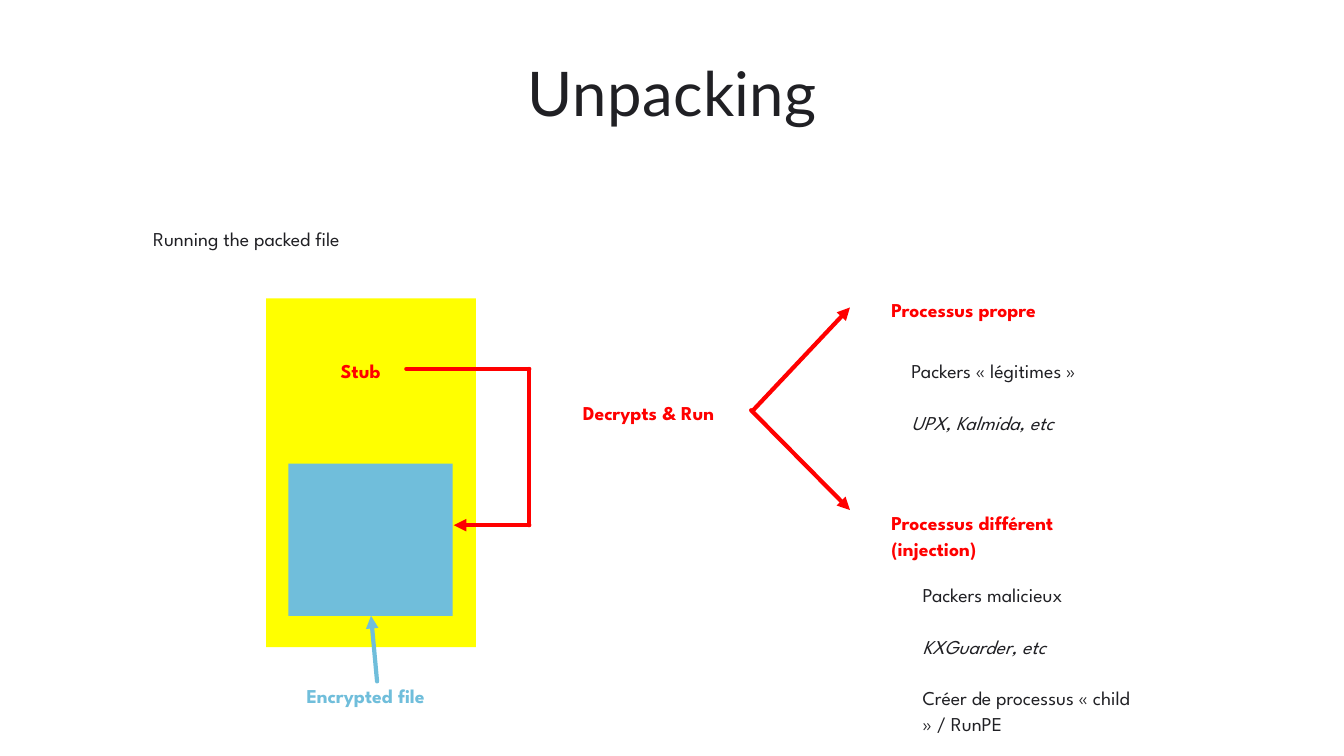
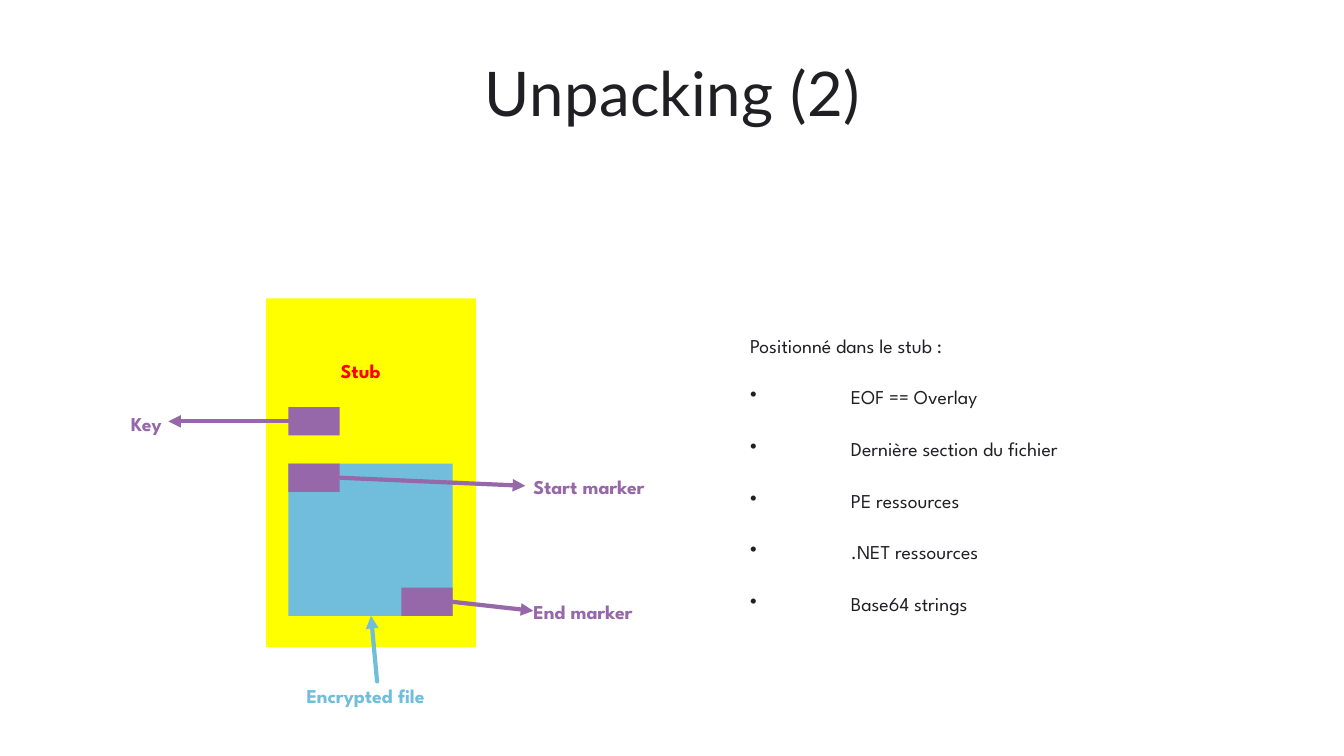
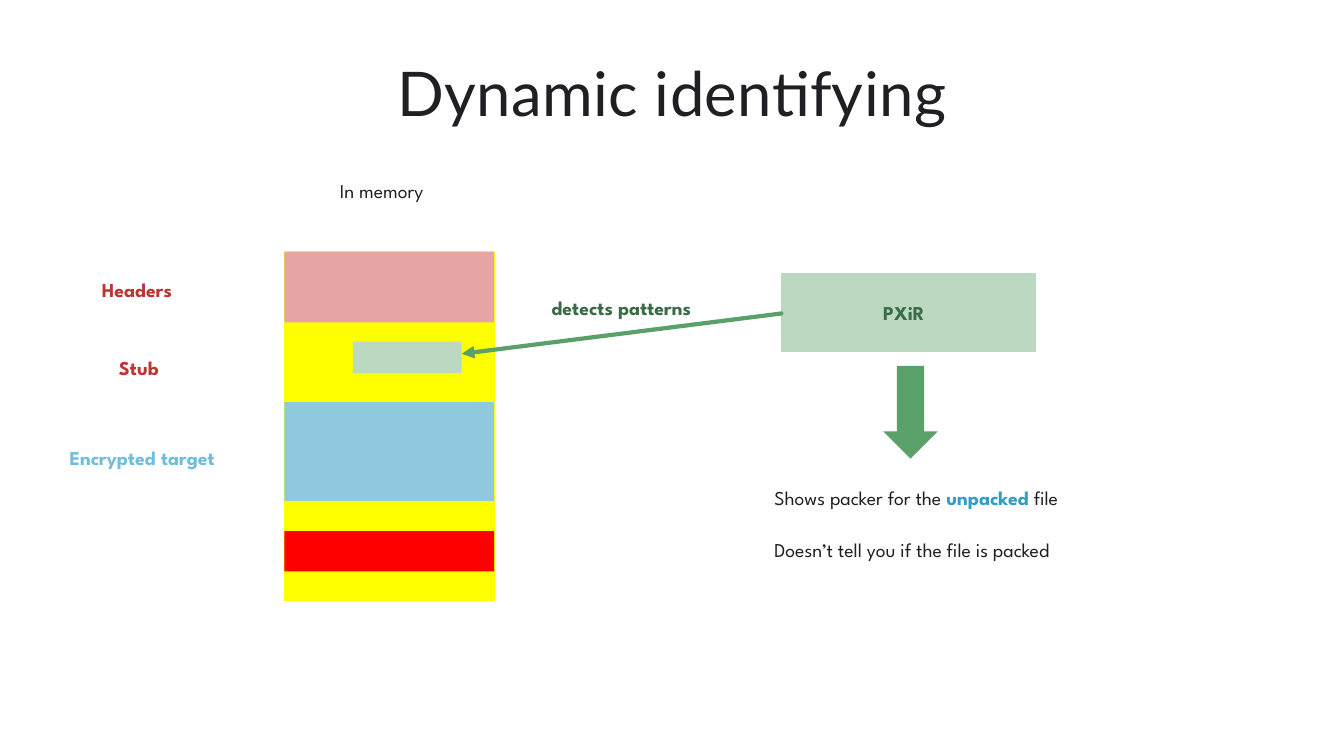
"""Build three slides on unpacking and identifying packed files."""
import lxml.etree
import pptx
import pptx.dml.color
import pptx.enum.shapes
import pptx.enum.text
import pptx.oxml.ns
import pptx.util

Inches = pptx.util.Inches
Shapes = pptx.enum.shapes.MSO_SHAPE
Align = pptx.enum.text.PP_ALIGN

INK, RED, YELLOW, SKY = "202024", "FF0000", "FFFF00", "70BEDB"
PURPLE, BRICK, PINK, PALE_BLUE, BLUE = "9667A9", "BB3533", "E6A5A4", "90C8DE", "329EC6"
GREEN, DARK_GREEN, PALE_GREEN = "59A168", "3B6B46", "BBD9C1"

TITLE_PLACE = (0.79, 0.6, 11.76, 0.7)
LABEL_HEIGHT = 0.24
PARA_GAP = 18.43
BULLET_INDENT = 1

PACKED_FILE = (2.64, 2.96, 2.08, 3.46)
ENCRYPTED = (2.86, 4.6, 1.63, 1.51)
MARKER_WIDTH, MARKER_HEIGHT = 0.51, 0.28
START_MARKER = (ENCRYPTED[0], ENCRYPTED[1])
END_MARKER = (ENCRYPTED[0] + ENCRYPTED[2] - MARKER_WIDTH, ENCRYPTED[1] + ENCRYPTED[3] - MARKER_HEIGHT)
KEY_MARKER = (ENCRYPTED[0], 4.04)
MEMORY_LEFT, MEMORY_WIDTH = 2.82, 2.08

FILE_DIAGRAM = {
    "shapes": [(PACKED_FILE, YELLOW), (ENCRYPTED, SKY)],
    "labels": [
        ("Stub", 3.38, 3.54, 0.47, RED),
        ("Encrypted file", 3.04, 6.76, 1.39, SKY),
    ],
    "lines": [((3.74, 6.76), (3.68, 6.11), SKY, True)],
}

PAGES = [
    {
        "title": "Unpacking",
        "parts": [
            FILE_DIAGRAM,
            {
                "labels": [
                    ("Decrypts & Run", 5.78, 3.95, 1.52, RED),
                    ("Processus propre", 8.84, 2.93, 2.18, RED),
                    ("Processus différent (injection)", 8.84, 5.05, 2.18, RED),
                ],
                "texts": [
                    (["Running the packed file"], (1.52, 2.23, 2.16, 0.24), {}),
                    (
                        ["Packers « légitimes »", [("UPX, Kalmida, etc", {"italic": True})]],
                        (9.04, 3.54, 1.9, 0.76),
                        {},
                    ),
                    (
                        [
                            "Packers malicieux",
                            [("KXGuarder, etc", {"italic": True})],
                            "Créer de processus « child » / RunPE",
                        ],
                        (9.15, 5.76, 2.18, 1.54),
                        {},
                    ),
                ],
                "lines": [
                    ((4.03, 3.66), (5.25, 3.66), RED, False),
                    ((5.25, 3.66), (5.25, 5.21), RED, False),
                    ((5.25, 5.21), (4.5, 5.21), RED, True),
                    ((7.47, 4.07), (8.43, 3.05), RED, True),
                    ((7.45, 4.07), (8.43, 5.06), RED, True),
                ],
            },
        ],
    },
    {
        "title": "Unpacking (2)",
        "parts": [
            FILE_DIAGRAM,
            {
                "shapes": [
                    ((left, top, MARKER_WIDTH, MARKER_HEIGHT), PURPLE)
                    for left, top in (START_MARKER, END_MARKER, KEY_MARKER)
                ],
                "labels": [
                    ("Key", 1.3, 4.06, 0.36, PURPLE),
                    ("Start marker", 5.29, 4.69, 1.27, PURPLE),
                    ("End marker", 5.29, 5.93, 1.13, PURPLE),
                ],
                "texts": [
                    (["Positionné dans le stub :"], (7.44, 3.29, 4.06, 0.24), {}),
                    (
                        [
                            "EOF == Overlay",
                            "Dernière section du fichier",
                            "PE ressources",
                            ".NET ressources",
                            "Base64 strings",
                        ],
                        (7.44, 3.8, 4.06, 2.33),
                        {"bullet": "•"},
                    ),
                ],
                "lines": [
                    ((2.86, 4.18), (1.67, 4.18), PURPLE, True),
                    ((3.38, 4.74), (5.21, 4.82), PURPLE, True),
                    ((4.48, 5.97), (5.29, 6.06), PURPLE, True),
                ],
            },
        ],
    },
    {
        "title": "Dynamic identifying",
        "parts": [
            {
                "shapes": [
                    ((MEMORY_LEFT, 2.5, MEMORY_WIDTH, 3.46), YELLOW, YELLOW),
                    ((MEMORY_LEFT, 2.5, MEMORY_WIDTH, 0.7), PINK),
                    ((MEMORY_LEFT, 3.99, MEMORY_WIDTH, 0.98), PALE_BLUE),
                    ((MEMORY_LEFT, 5.27, MEMORY_WIDTH, 0.4), RED),
                    ((7.75, 2.72, 2.52, 0.77), PALE_GREEN, PALE_GREEN),
                    ((3.5, 3.39, 1.08, 0.31), PALE_GREEN),
                    ((8.76, 3.63, 0.54, 0.92), GREEN, None, Shapes.DOWN_ARROW),
                ],
                "labels": [
                    ("Headers", 1.01, 2.73, 1.21, BRICK),
                    ("Stub", 1.18, 3.51, 0.55, BRICK),
                    ("Encrypted target", 0.69, 4.4, 3.06, SKY),
                    ("PXiR", 8.76, 2.96, 1.34, DARK_GREEN),
                    ("detects patterns", 5.47, 2.91, 1.72, DARK_GREEN),
                ],
                "texts": [
                    (["In memory"], (3.37, 1.75, 0.98, 0.24), {}),
                    (
                        [
                            [
                                ("Shows packer for the ", {}),
                                ("unpacked", {"color": BLUE, "bold": True}),
                                (" file", {}),
                            ],
                            "Doesn’t tell you if the file is packed",
                        ],
                        (7.68, 4.8, 3.29, 0.76),
                        {},
                    ),
                ],
                "lines": [((7.75, 3.11), (4.58, 3.51), GREEN, True)],
            },
        ],
    },
]


def rgb(color):
    """Turn a hex string into a colour."""
    return pptx.dml.color.RGBColor.from_string(color)


def add_xml(parent, tag, **attributes):
    """Append a drawing element with the given attributes."""
    lxml.etree.SubElement(parent, pptx.oxml.ns.qn(tag), attributes)


def add_span(para, text, font="League Spartan", size=14, color=INK, bold=False, italic=False, tracking=0):
    """Add one formatted run to a paragraph."""
    span = para.add_run()
    span.text = text
    span.font.name = font
    span.font.size = pptx.util.Pt(size)
    span.font.color.rgb = rgb(color)
    span.font.bold = bold
    span.font.italic = italic
    if tracking:
        span._r.get_or_add_rPr().set("spc", str(tracking))


def add_text(page, paragraphs, place, align=Align.LEFT, spacing=1.1, bullet=None, **style):
    """Add a text box whose paragraphs are strings or lists of styled spans."""
    box = page.shapes.add_textbox(*map(Inches, place))
    frame = box.text_frame
    frame.word_wrap = True
    frame.margin_left = frame.margin_top = frame.margin_right = frame.margin_bottom = 0
    for index, content in enumerate(paragraphs):
        para = frame.add_paragraph() if index else frame.paragraphs[0]
        para.alignment = align
        para.line_spacing = spacing
        if index:
            para.space_before = pptx.util.Pt(PARA_GAP)
        if bullet:
            properties = para._p.get_or_add_pPr()
            properties.set("marL", str(int(Inches(BULLET_INDENT))))
            properties.set("indent", str(-int(Inches(BULLET_INDENT))))
            add_xml(properties, "a:buChar", char=bullet)
        spans = [(content, {})] if isinstance(content, str) else content
        for text, extra in spans:
            add_span(para, text, **{**style, **extra})


def add_block(page, place, fill, outline=None, kind=Shapes.RECTANGLE):
    """Add a filled preset shape."""
    block = page.shapes.add_shape(kind, *map(Inches, place))
    block.shadow.inherit = False
    block.fill.solid()
    block.fill.fore_color.rgb = rgb(fill)
    if outline:
        block.line.color.rgb = rgb(outline)
        block.line.width = pptx.util.Pt(1)
    else:
        block.line.fill.background()


def add_line(page, start, end, color, arrow):
    """Add a straight line, with an arrowhead at its end if asked."""
    line = page.shapes.add_connector(
        pptx.enum.shapes.MSO_CONNECTOR.STRAIGHT, *map(Inches, start + end)
    )
    line.line.color.rgb = rgb(color)
    line.line.width = pptx.util.Pt(3)
    properties = line._element.spPr
    outline = properties.find(pptx.oxml.ns.qn("a:ln"))
    outline.set("cap", "rnd")
    if arrow:
        add_xml(outline, "a:tailEnd", type="triangle")
    add_xml(properties, "a:effectLst")


def add_part(page, part):
    """Draw the shapes, labels, texts and lines of one part."""
    for shape in part.get("shapes", []):
        add_block(page, *shape)
    for text, left, top, width, color in part.get("labels", []):
        add_text(page, [text], (left, top, width, LABEL_HEIGHT), color=color, bold=True)
    for paragraphs, place, style in part.get("texts", []):
        add_text(page, paragraphs, place, **style)
    for line in part.get("lines", []):
        add_line(page, *line)


def main():
    """Build and save the deck."""
    deck = pptx.Presentation()
    deck.slide_width, deck.slide_height = Inches(13.33), Inches(7.5)
    for content in PAGES:
        page = deck.slides.add_slide(deck.slide_layouts[6])
        add_text(
            page, [content["title"]], TITLE_PLACE,
            align=Align.CENTER, spacing=0.95, font="Lato", size=44, tracking=30,
        )
        for part in content["parts"]:
            add_part(page, part)
    deck.save("out.pptx")


if __name__ == "__main__":
    main()
